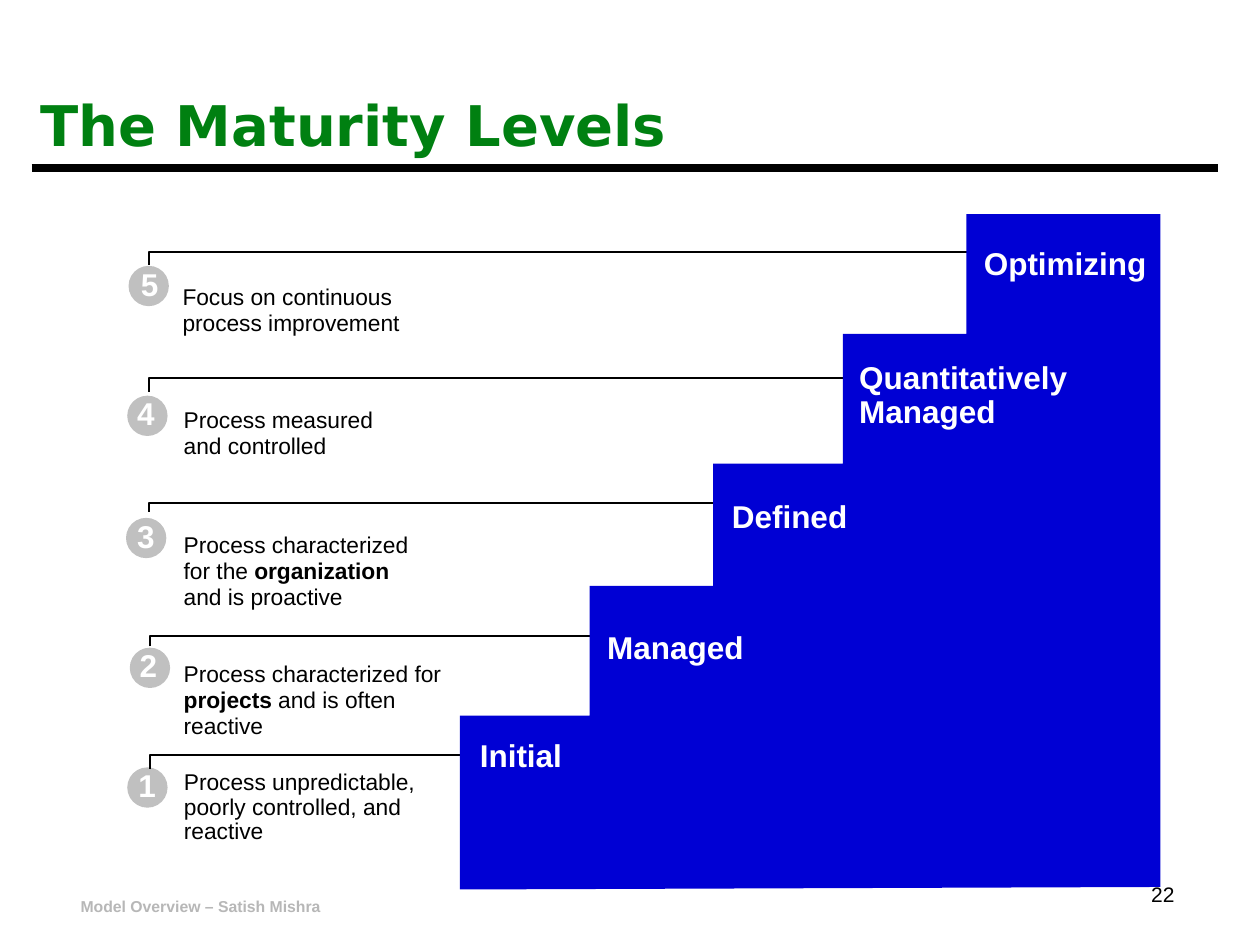
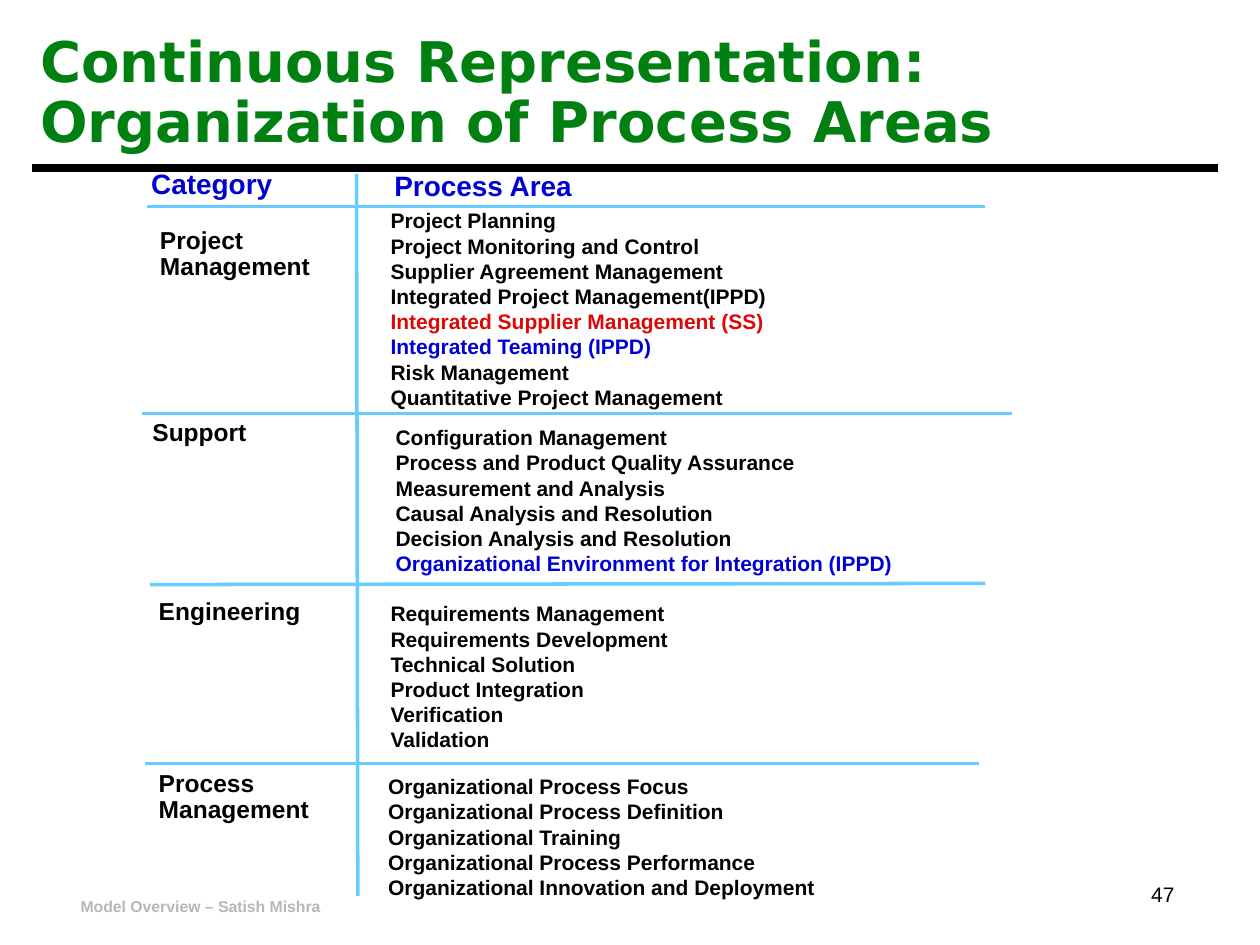
from lxml import etree
from pptx import Presentation
from pptx.dml.color import RGBColor
from pptx.enum.shapes import MSO_CONNECTOR, MSO_SHAPE
from pptx.enum.text import MSO_ANCHOR, PP_ALIGN
from pptx.oxml.ns import qn
from pptx.util import Inches, Pt

STRAIGHT = MSO_CONNECTOR.STRAIGHT
OVAL = MSO_SHAPE.OVAL
TOP = MSO_ANCHOR.TOP
LEFT, RIGHT = PP_ALIGN.LEFT, PP_ALIGN.RIGHT

COLORS = {
    "title": "008011",
    "text": "000000",
    "footer": "B7B7B7",
    "blue": "0000D4",
    "red": "DD0806",
    "white": "FFFFFF",
    "circle": "C0C0C0",
    "grid": "66CCFF",
}

STYLES = {
    "title": {"name": "DejaVu Sans", "size": 32, "bold": True, "color": "title", "spacing": 0.9, "inset": (0.07, 0.03)},
    "footer": {"size": 9, "bold": True, "color": "footer", "inset": (0.09, 0.05)},
    "page": {"size": 12, "spacing": 0.9, "align": RIGHT},
    "number": {"size": 18, "bold": True, "color": "white", "spacing": 0.5},
    "level": {"size": 18, "bold": True, "color": "white", "spacing": 1.25},
    "two_line_level": {"size": 18, "bold": True, "color": "white", "spacing": 0.9},
    "description": {"size": 13, "spacing": 0.95},
    "tight_description": {"size": 13, "spacing": 0.9, "inset": (0.09, 0.04)},
    "heading": {"size": 16, "bold": True, "color": "blue", "spacing": 0.9, "inset": (0.09, 0.04)},
    "category": {"size": 14, "bold": True, "spacing": 0.9, "inset": (0.09, 0.04)},
    "area": {"size": 12, "bold": True, "inset": (0.09, 0.04)},
}


def add_text(slide, box, paragraphs, style_name):
    style = STYLES[style_name]
    frame = slide.shapes.add_textbox(*map(Inches, box)).text_frame
    side, end = map(Inches, style.get("inset", (0.1, 0.05)))
    frame_format = {
        "word_wrap": True, "vertical_anchor": TOP,
        "margin_left": side, "margin_right": side, "margin_top": end, "margin_bottom": end,
    }
    for name, value in frame_format.items():
        setattr(frame, name, value)
    for index, runs in enumerate(paragraphs):
        paragraph = frame.add_paragraph() if index else frame.paragraphs[0]
        paragraph.alignment = style.get("align", LEFT)
        paragraph.line_spacing = style.get("spacing", 1.0)
        for text, changes in [(runs, {})] if isinstance(runs, str) else runs:
            look = {"name": "Arial", "bold": False, "color": "text", **style, **changes}
            for line_index, line in enumerate(text.split("\n")):
                if line_index:
                    paragraph.add_line_break()
                run = paragraph.add_run()
                run.text = line
                font_format = {"name": look["name"], "size": Pt(look["size"]), "bold": look["bold"]}
                for name, value in font_format.items():
                    setattr(run.font, name, value)
                run.font.color.rgb = RGBColor.from_string(COLORS[look["color"]])


def add_line(slide, ends, color, width):
    line = slide.shapes.add_connector(STRAIGHT, *map(Inches, ends))
    line.line.color.rgb = RGBColor.from_string(COLORS[color])
    line.line.width = Pt(width)
    etree.SubElement(line._element.spPr, qn("a:effectLst"))


presentation = Presentation()
presentation.slide_width = Inches(10)
presentation.slide_height = Inches(7.5)

pages = [
    ("The Maturity Levels", (0.25, 0.75, 7.83, 0.52), "22"),
    ("Continuous Representation:\nOrganization of Process Areas", (0.25, 0.24, 8.9, 1.02), "47"),
]
for title, title_box, page_number in pages:
    slide = presentation.slides.add_slide(presentation.slide_layouts[6])
    add_line(slide, (0.25, 1.33, 9.67, 1.33), "text", 4.5)
    add_text(slide, (0.55, 7.07, 2.4, 0.24), ["Model Overview – Satish Mishra"], "footer")
    add_text(slide, title_box, [title], "title")
    add_text(slide, (7.34, 6.97, 2.08, 0.36), [page_number], "page")
levels_slide, areas_slide = presentation.slides

steps = [(3.65, 5.68), (4.68, 4.65), (5.66, 3.68), (6.69, 2.65), (7.67, 1.7)]
stair_points = [(3.65, 7.06)]
for index, (step_left, step_top) in enumerate(steps):
    step_right = steps[index + 1][0] if index < len(steps) - 1 else 9.21
    stair_points += [(step_left, step_top), (step_right, step_top)]
stair_points.append((9.21, 7.04))

outlines = [(stair_points, True)]
brackets = [
    (1.19, 6.1, 5.99, 3.77),
    (1.19, 5.13, 5.05, 4.72),
    (1.18, 4.06, 3.99, 5.76),
    (1.18, 3.11, 3, 6.8),
    (1.18, 2.1, 2, 7.79),
]
for left, bottom, top, right in brackets:
    outlines.insert(0, ([(left, bottom), (left, top), (right, top)], False))

circles = [(1.01, 6.09, 1), (1.03, 5.14, 1.01), (1, 4.11, 0.99), (1.01, 3.14, 0.99), (1.02, 2.11, 1.02)]
for number, (left, top, text_left) in enumerate(circles, 1):
    circle = levels_slide.shapes.add_shape(OVAL, *map(Inches, (left, top, 0.32, 0.32)))
    circle.shadow.inherit = False
    circle.fill.solid()
    circle.fill.fore_color.rgb = RGBColor.from_string(COLORS["circle"])
    circle.line.fill.background()
    add_text(levels_slide, (text_left, top + 0.07, 0.48, 0.25), [str(number)], "number")

for points, filled in outlines:
    points = [(Inches(x), Inches(y)) for x, y in points]
    builder = levels_slide.shapes.build_freeform(*points[0])
    builder.add_line_segments(points[1:], close=filled)
    outline = builder.convert_to_shape()
    outline.shadow.inherit = False
    if filled:
        outline.fill.solid()
        outline.fill.fore_color.rgb = RGBColor.from_string(COLORS["blue"])
        outline.line.fill.background()
    else:
        outline.fill.background()
        outline.line.color.rgb = RGBColor.from_string(COLORS["text"])
        outline.line.width = Pt(1)

bold = {"bold": True}
level_texts = [
    ((1.37, 6.08, 2.34, 0.87), ["Process unpredictable, poorly controlled, and", "reactive"], "tight_description"),
    ((1.36, 5.2, 2.37, 0.71),
     [[("Process characterized for ", {}), ("projects", bold), (" and is often reactive", {})]], "description"),
    ((1.36, 4.18, 2.14, 0.71),
     [[("Process characterized for the ", {}), ("organization ", bold), ("and is proactive", {})]], "description"),
    ((1.36, 3.19, 2.26, 0.51), ["Process measured", "and controlled"], "description"),
    ((1.35, 2.21, 2.49, 0.51), ["Focus on continuous process improvement"], "description"),
    ((3.71, 5.72, 1.69, 0.47), ["Initial"], "level"),
    ((4.72, 4.86, 1.75, 0.47), ["Managed"], "level"),
    ((5.71, 3.82, 1.41, 0.47), ["Defined"], "level"),
    ((6.72, 2.83, 1.91, 0.64), ["Quantitatively", "Managed"], "two_line_level"),
    ((7.71, 1.81, 1.55, 0.47), ["Optimizing"], "level"),
]
for box, paragraphs, style_name in level_texts:
    add_text(levels_slide, box, paragraphs, style_name)

grid_lines = [
    (1.17, 1.64, 7.82, 1.64),
    (1.13, 3.28, 8.03, 3.28),
    (1.19, 4.64, 7.82, 4.63),
    (1.15, 6.06, 7.77, 6.06),
    (2.84, 7.11, 2.83, 1.38),
]
for ends in grid_lines:
    add_line(areas_slide, ends, "grid", 2)

add_text(areas_slide, (1.11, 1.31, 1.51, 0.33), ["Category"], "heading")
add_text(areas_slide, (3.04, 1.33, 2.74, 0.33), ["Process Area"], "heading")

blue, red = {"color": "blue"}, {"color": "red"}
categories = [
    ((1.18, 1.77, 1.6, 0.51), ["Project", "Management"], (3.01, 1.61, 3.91, 1.69), [
        "Project Planning",
        "Project Monitoring and Control",
        "Supplier Agreement Management",
        "Integrated Project Management(IPPD)",
        [("Integrated Supplier Management (SS)", red)],
        [("Integrated Teaming (IPPD)", blue)],
        "Risk Management",
        "Quantitative Project Management",
    ]),
    ((1.12, 3.3, 1.6, 0.3), ["Support"], (3.05, 3.33, 4.3, 1.29), [
        "Configuration Management",
        "Process and Product Quality Assurance",
        "Measurement and Analysis",
        "Causal Analysis and Resolution",
        "Decision Analysis and Resolution",
        [("Organizational Environment for Integration (IPPD)", blue)],
    ]),
    ((1.17, 4.72, 1.6, 0.3), ["Engineering"], (3.01, 4.73, 3.93, 1.47), [
        "Requirements Management",
        "Requirements Development",
        "Technical Solution",
        "Product Integration",
        "Verification",
        "Validation",
    ]),
    ((1.17, 6.08, 1.6, 0.51), ["Process", "Management"], (2.99, 6.1, 4.31, 1.09), [
        "Organizational Process Focus",
        "Organizational Process Definition",
        "Organizational Training",
        "Organizational Process Performance",
        "Organizational Innovation and Deployment",
    ]),
]
for category_box, category, area_box, areas in categories:
    add_text(areas_slide, category_box, category, "category")
    add_text(areas_slide, area_box, areas, "area")

presentation.save("out.pptx")
